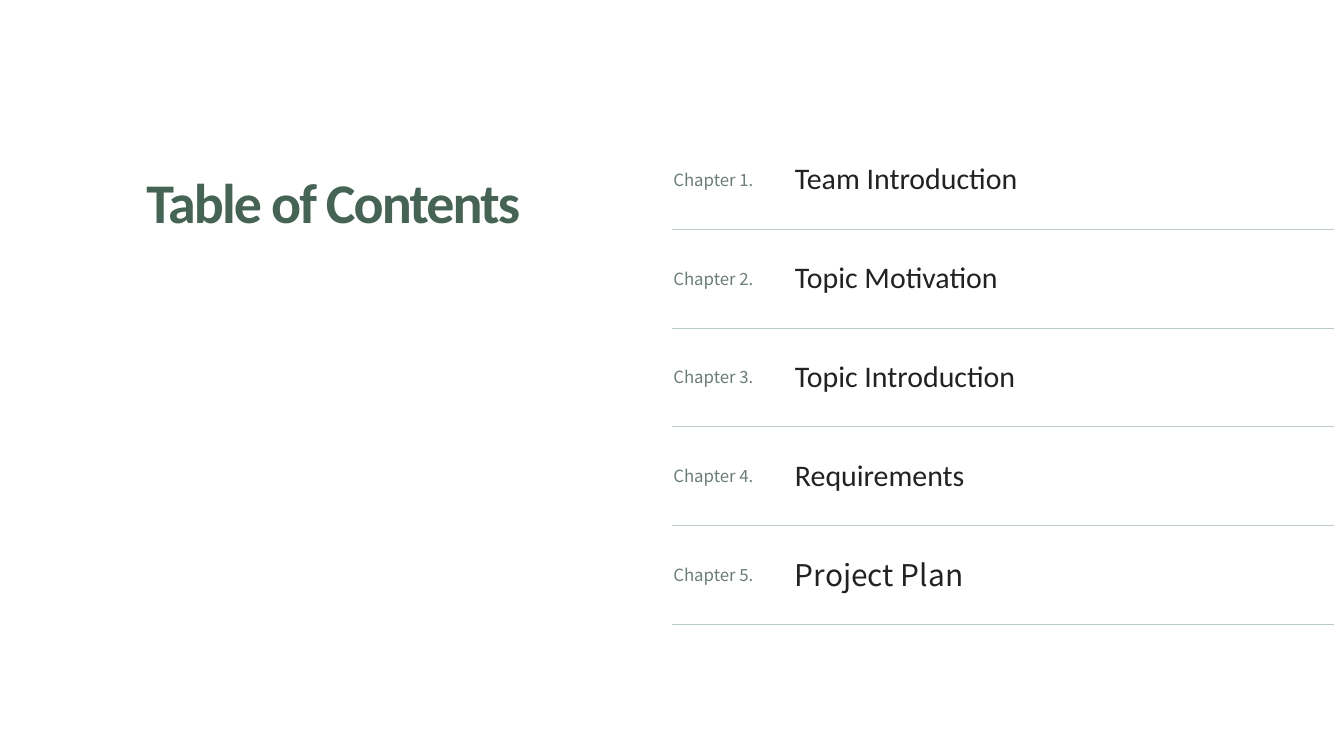
import pptx
import pptx.util
import pptx.dml.color
import pptx.enum.text
import pptx.oxml
import pptx.oxml.ns

Inches, Pt = pptx.util.Inches, pptx.util.Pt

# Content
TITLE = "Table of Contents"
TOPICS = [
    "Team Introduction",
    "Topic Motivation",
    "Topic Introduction",
    "Requirements",
    "Project Plan",
]


class Theme:
    title = ("Calibri", 60, "466456")
    label = ("Noto Sans CJK KR", 18, "6A7E74")
    topic = ("Calibri", 32, "222222")
    last = ("Noto Sans CJK KR", 32, "222222")
    rule = "BACCC3"


# Layout
COLS = [1.81, 8.04]
ROW = 1.47
PAD = Inches(0.02)
PLAIN = "{2D5ABB26-0587-4C30-8999-92F81FD0307C}"  # table style without grid


def write(frame, text, style, space):
    name, size, color = style
    para = frame.paragraphs[0]
    para.text = text
    para.line_spacing = space
    para.font.name = name
    para.font.size = Pt(size)
    para.font.color.rgb = pptx.dml.color.RGBColor.from_string(color)
    return para


def underline(cell):
    line = pptx.oxml.parse_xml(
        f'<a:lnB {pptx.oxml.ns.nsdecls("a")} w="{Pt(0.5)}"><a:solidFill>'
        f'<a:srgbClr val="{Theme.rule}"/></a:solidFill></a:lnB>'
    )
    cell._tc.get_or_add_tcPr().insert(0, line)


def add_title(slide):
    box = slide.shapes.add_textbox(Inches(2.18), Inches(2.33), Inches(7.12), Inches(1.17))
    frame = box.text_frame
    frame.word_wrap = True
    frame.margin_left = frame.margin_right = 0
    frame.margin_top = frame.margin_bottom = 0
    para = write(frame, TITLE, Theme.title, 1.16)
    para.font.bold = True
    para.runs[0]._r.get_or_add_rPr().set("spc", "-200")


def add_list(slide):
    count = len(TOPICS)
    frame = slide.shapes.add_table(
        count, len(COLS), Inches(10), Inches(1.94), Inches(sum(COLS)), Inches(ROW * count)
    )
    table = frame.table
    table.first_row = table.horz_banding = False
    table._tbl.tblPr.find(pptx.oxml.ns.qn("a:tableStyleId")).text = PLAIN
    for col, width in zip(table.columns, COLS):
        col.width = Inches(width)
    for row in table.rows:
        row.height = Inches(ROW)

    for i, topic in enumerate(TOPICS):
        style = Theme.last if i == count - 1 else Theme.topic
        parts = [(f"Chapter {i + 1}.", Theme.label), (topic, style)]
        for j, (text, look) in enumerate(parts):
            cell = table.cell(i, j)
            cell.margin_left = cell.margin_right = PAD
            cell.margin_top = cell.margin_bottom = PAD
            cell.vertical_anchor = pptx.enum.text.MSO_ANCHOR.MIDDLE
            cell.fill.background()
            underline(cell)
            write(cell.text_frame, text, look, 0.92)


def main():
    deck = pptx.Presentation()
    deck.slide_width, deck.slide_height = Inches(20), Inches(11.25)
    slide = deck.slides.add_slide(deck.slide_layouts[6])
    add_title(slide)
    add_list(slide)
    deck.save("out.pptx")


if __name__ == "__main__":
    main()
